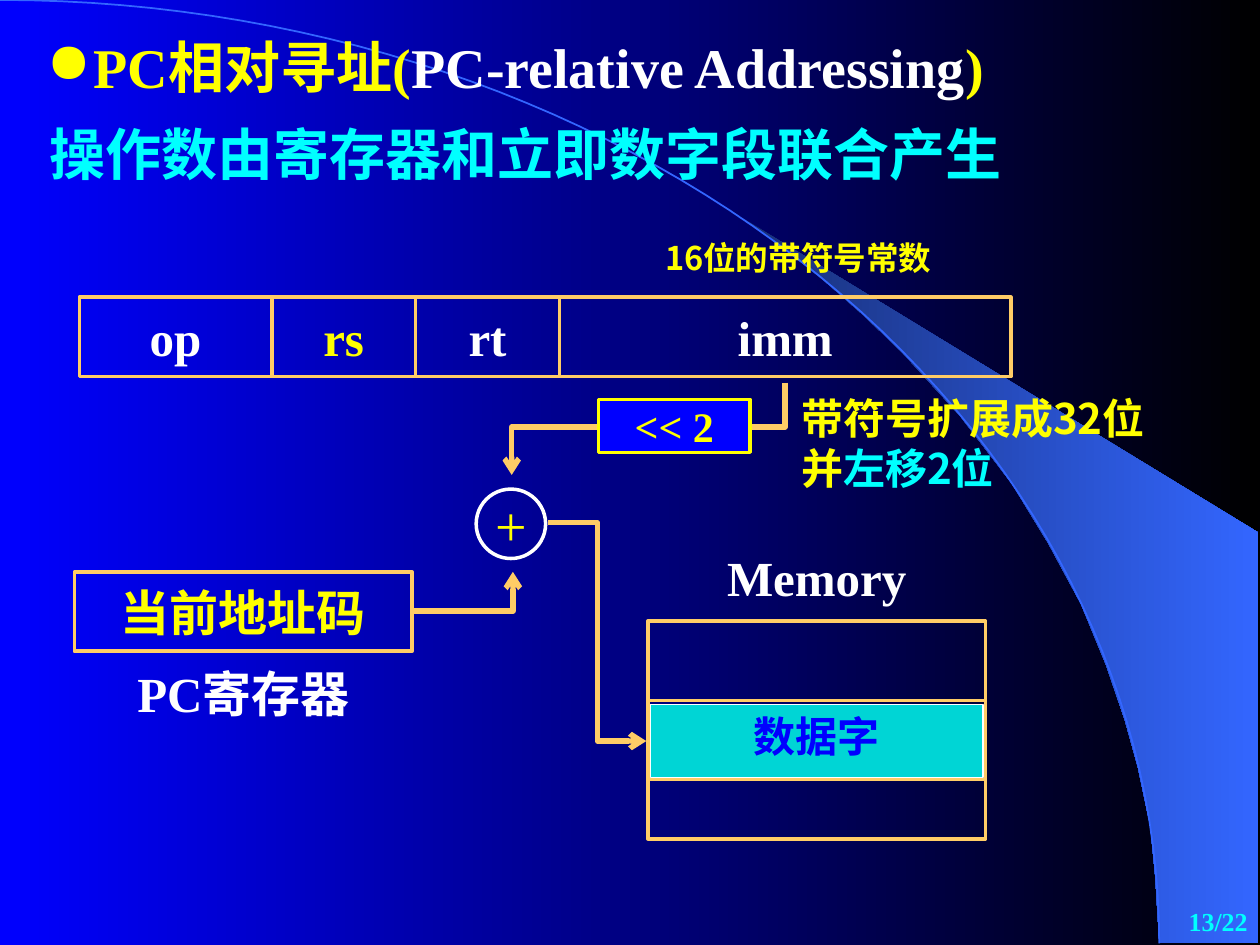
"""Build a slide that explains PC-relative addressing."""
from math import cos, pi, sin

from lxml.etree import SubElement
from pptx import Presentation
from pptx.dml.color import RGBColor
from pptx.enum.shapes import MSO_CONNECTOR, MSO_SHAPE
from pptx.enum.text import MSO_ANCHOR as ANCHOR, MSO_AUTO_SIZE, PP_ALIGN as ALIGN
from pptx.oxml.ns import qn
from pptx.util import Cm, Pt

LATIN, CHINESE = "Times New Roman", "Noto Sans CJK SC"
BLUE, YELLOW, CYAN, WHITE, GOLD = "0000FF", "FFFF00", "00FFFF", "FFFFFF", "FFCC66"
rgb = RGBColor.from_string


def write(shape, lines, size, font=LATIN, align=ALIGN.CENTER, anchor=ANCHOR.MIDDLE,
          bold=True, margin=0.25, spacing=1.0):
    """Fill a shape with lines, each a list of (text, colour) runs."""
    frame = shape.text_frame
    frame.word_wrap = True
    frame.auto_size = MSO_AUTO_SIZE.NONE
    frame.vertical_anchor = anchor
    frame.margin_left = frame.margin_right = Cm(margin)
    frame.margin_top = frame.margin_bottom = Cm(margin / 2)
    for index, runs in enumerate(lines):
        paragraph = frame.add_paragraph() if index else frame.paragraphs[0]
        paragraph.alignment = align
        paragraph.line_spacing = spacing
        paragraph.space_before = Pt(0)
        paragraph.font.size = Pt(size)
        paragraph.font.bold = bold
        paragraph.font.name = font
        defaults = paragraph._p.pPr.find(qn("a:defRPr"))
        SubElement(defaults, qn("a:ea"), typeface=CHINESE)
        for text, colour in runs:
            run = paragraph.add_run()
            run.text = text
            run.font.color.rgb = rgb(colour)


def add_box(left, top, width, height, line=GOLD, weight=2, fill=None, kind=MSO_SHAPE.RECTANGLE):
    """Add an outlined shape, hollow unless a fill is given."""
    shape = slide.shapes.add_shape(kind, Cm(left), Cm(top), Cm(width), Cm(height))
    shape.shadow.inherit = False
    shape.line.color.rgb = rgb(line)
    shape.line.width = Pt(weight)
    if fill:
        shape.fill.solid()
        shape.fill.fore_color.rgb = rgb(fill)
    else:
        shape.fill.background()
    return shape


presentation = Presentation()
presentation.slide_width, presentation.slide_height = Cm(25.4), Cm(19.05)
slide = presentation.slides.add_slide(presentation.slide_layouts[5])
shapes = slide.shapes

beam_points = [
    (23.37, 19), (25.37, 19.02), (25.37, 10.74), (14.96, 4.39), (15.85, 5.05), (16.59, 5.64),
    (17.4, 6.35), (18.19, 7.11), (19.35, 8.38), (20.4, 9.75), (21.13, 10.95), (21.79, 12.17),
    (22.3, 13.41), (22.68, 14.53), (22.94, 15.47), (23.19, 16.66), (23.29, 17.68)]
arc_angles = [step * pi / 120 for step in range(61)]
arc_points = [(23.37 * sin(angle), 19.02 * (1 - cos(angle))) for angle in arc_angles]
outlines = []
for points, closed in [(beam_points, True), (arc_points, False)]:
    corners = [(Cm(x), Cm(y)) for x, y in points]
    builder = shapes.build_freeform(*corners[0])
    builder.add_line_segments(corners[1:], close=closed)
    outline = builder.convert_to_shape()
    outline.shadow.inherit = False
    outlines.append(outline)
beam, arc = outlines
beam.line.fill.background()
arc.fill.background()
arc.line.color.rgb = rgb("3366FF")
arc.line.width = Pt(1)
for fill, colours in [(slide.background.fill, (BLUE, "000000")), (beam.fill, ("182F76", "3366FF"))]:
    fill.gradient()
    fill.gradient_angle = 0
    for stop, colour in zip(fill.gradient_stops, colours):
        stop.color.rgb = rgb(colour)

title = shapes.title
title.left, title.top, title.width, title.height = Cm(0.69), Cm(0.53), Cm(23.8), Cm(1.63)
shapes._spTree.append(title._element)
title_properties = title.text_frame.paragraphs[0]._p.get_or_add_pPr()
title_properties.set("marL", str(Cm(0.95)))
title_properties.set("indent", str(-Cm(0.95)))
bullet_colour = SubElement(title_properties, qn("a:buClr"))
SubElement(bullet_colour, qn("a:srgbClr"), val=YELLOW)
SubElement(title_properties, qn("a:buChar"), char="●")
write(title, [[("PC相对寻址(", YELLOW), ("PC-relative Addressing", WHITE), (")", YELLOW)]],
      32, align=ALIGN.LEFT, anchor=ANCHOR.TOP)

field_left = 1.6
for name, width, colour in [("op", 3.88, WHITE), ("rs", 2.9, YELLOW),
                            ("rt", 2.9, WHITE), ("imm", 9.1, WHITE)]:
    write(add_box(field_left, 5.99, width, 1.6), [[(name, colour)]], 28)
    field_left += width

write(add_box(1.5, 11.53, 6.81, 1.6), [[("当前地址码", YELLOW)]], 28, CHINESE)
adder = add_box(9.6, 9.86, 1.4, 1.4, WHITE, kind=MSO_SHAPE.OVAL)
write(adder, [[("+", YELLOW)]], 32, bold=False, margin=0)
add_box(13.06, 12.52, 6.81, 4.39)
add_box(13.06, 14.12, 6.81, 1.6)

for kind, begin, end, rotation, bend in [
        ("bentConnector2", (8.33, 12.32), (10.34, 11.53), 0, None),
        ("bentConnector3", (11.05, 10.54), (13.03, 14.94), 0, 50000),
        ("bentConnector3", (12.14, 5.89), (14, 11.4), 90, 48100)]:
    connector = shapes.add_connector(MSO_CONNECTOR.ELBOW, *map(Cm, begin + end))
    connector.line.color.rgb = rgb(GOLD)
    connector.line.width = Pt(3)
    SubElement(connector.line._get_or_add_ln(), qn("a:tailEnd"), type="arrow")
    properties = connector._element.spPr
    SubElement(properties, qn("a:effectLst"))
    properties.find(qn("a:xfrm")).set("rot", str(rotation * 60000))
    geometry = properties.find(qn("a:prstGeom"))
    geometry.set("prst", kind)
    if bend:
        SubElement(geometry.find(qn("a:avLst")), qn("a:gd"), name="adj1", fmla=f"val {bend}")

write(add_box(12.07, 8.05, 3.05, 1.07, YELLOW, fill=BLUE), [[("<< 2", YELLOW)]], 24)
write(add_box(13.11, 14.2, 6.71, 1.47, WHITE, 0.75, "00D5D5"), [[("数据字", BLUE)]],
      24, CHINESE, anchor=ANCHOR.TOP)

for place, lines, size, font, align, anchor, spacing in [
        ((0.74, 2.29, 22.96, 1.63), [[("操作数由寄存器和立即数字段联合产生", CYAN)]],
         32, CHINESE, ALIGN.LEFT, ANCHOR.TOP, 1.0),
        ((12.09, 4.72, 8, 1.07), [[("16位的带符号常数", YELLOW)]],
         18.6, CHINESE, ALIGN.CENTER, ANCHOR.MIDDLE, 0.8),
        ((15.9, 7.92, 8.2, 2.01), [[("带符号扩展成32位", YELLOW)], [("并", YELLOW), ("左移2位", CYAN)]],
         24, CHINESE, ALIGN.LEFT, ANCHOR.MIDDLE, 1.0),
        ((14.27, 10.92, 4.39, 1.47), [[("Memory", WHITE)]],
         28, LATIN, ALIGN.CENTER, ANCHOR.TOP, 1.0),
        ((2.11, 13.26, 5.59, 1.47), [[("PC寄存器", WHITE)]],
         28, LATIN, ALIGN.CENTER, ANCHOR.TOP, 1.0),
        ((20.12, 18.14, 5.28, 0.91), [[("13/22", CYAN)]],
         14.8, LATIN, ALIGN.RIGHT, ANCHOR.TOP, 1.0)]:
    label = shapes.add_textbox(*map(Cm, place))
    write(label, lines, size, font, align, anchor, spacing=spacing)

presentation.save("out.pptx")
